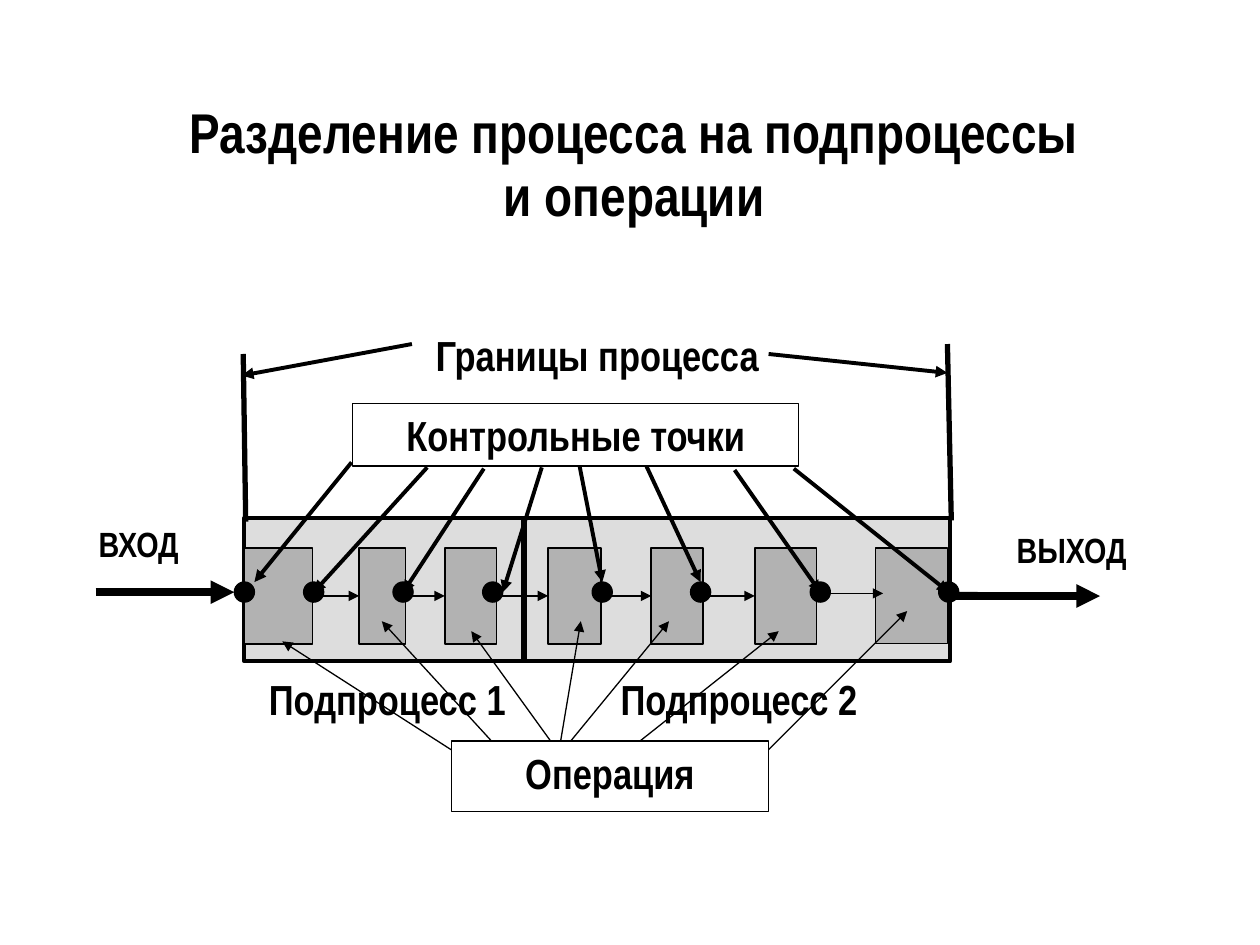
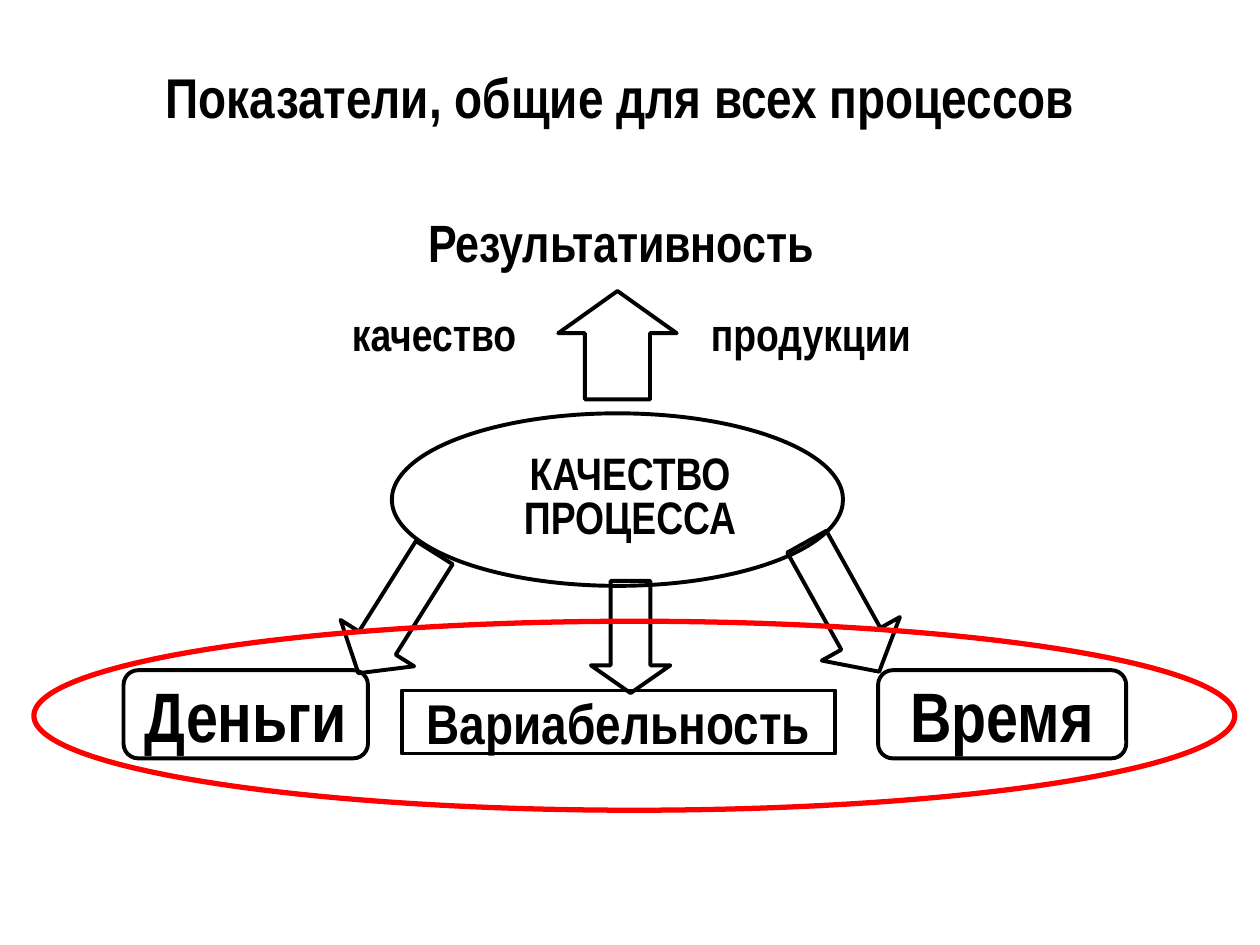
from dataclasses import dataclass
from itertools import pairwise

from lxml.etree import SubElement
from pptx import Presentation
from pptx.dml.color import RGBColor
from pptx.enum.shapes import MSO_CONNECTOR, MSO_SHAPE as Kind
from pptx.enum.text import MSO_ANCHOR as Anchor, MSO_AUTO_SIZE, PP_ALIGN
from pptx.oxml.ns import qn
from pptx.util import Pt


@dataclass(frozen=True)
class Theme:
    font: str = "Arial Narrow"
    ink: RGBColor = RGBColor(0, 0, 0)
    paper: RGBColor = RGBColor(255, 255, 255)
    process: RGBColor = RGBColor(0xDD, 0xDD, 0xDD)
    operation: RGBColor = RGBColor(0xB2, 0xB2, 0xB2)
    accent: RGBColor = RGBColor(255, 0, 0)
    title: int = 32
    label: int = 24
    flow: int = 20
    quality: int = 26
    result: int = 30
    outcome: int = 40
    thin: float = 0.75
    medium: float = 2.25
    thick: float = 3
    heavy: float = 4.5


theme = Theme()
LINE = MSO_CONNECTOR.STRAIGHT


def write(shape, text, size, anchor=Anchor.TOP, wrap=True, spacing=None):
    frame = shape.text_frame
    frame.text = text
    frame_format = {
        "auto_size": MSO_AUTO_SIZE.NONE, "word_wrap": wrap, "vertical_anchor": anchor,
        "margin_left": Pt(7.2), "margin_right": Pt(7.2),
        "margin_top": Pt(3.6), "margin_bottom": Pt(3.6),
    }
    for name, value in frame_format.items():
        setattr(frame, name, value)
    for paragraph in frame.paragraphs:
        paragraph.alignment = PP_ALIGN.CENTER
        paragraph.line_spacing = spacing
        font_format = {"name": theme.font, "size": Pt(size), "bold": True}
        for name, value in font_format.items():
            setattr(paragraph.font, name, value)
        paragraph.font.color.rgb = theme.ink


def draw(slide, kind, place, line=None, fill=None, color=theme.ink, head=True):
    if kind is LINE:
        shape = slide.shapes.add_connector(kind, *map(Pt, place))
    else:
        shape = slide.shapes.add_shape(kind, *map(Pt, place))
        shape.shadow.inherit = False
        if fill is None:
            shape.fill.background()
        else:
            shape.fill.solid()
            shape.fill.fore_color.rgb = fill
    if line is None:
        shape.line.fill.background()
    else:
        shape.line.color.rgb = color
        shape.line.width = Pt(line)
    if kind is LINE:
        properties = shape.element.find(qn("p:spPr"))
        if head:
            SubElement(properties.find(qn("a:ln")), qn("a:tailEnd"), type="triangle")
        SubElement(properties, qn("a:effectLst"))
    return shape


presentation = Presentation()
presentation.slide_width, presentation.slide_height = Pt(720), Pt(540)

titles = [
    ("Разделение процесса на подпроцессы\vи операции", (25.2, 49, 674.6, 90.7), Pt(36)),
    ("Показатели, общие для всех процессов", (14.4, 20.2, 680.4, 69.1), None),
]
slides = []
for text, place, spacing in titles:
    slide = presentation.slides.add_slide(presentation.slide_layouts[5])
    title = slide.shapes.title
    for name, value in zip(("left", "top", "width", "height"), place):
        setattr(title, name, Pt(value))
    write(title, text, theme.title, Anchor.MIDDLE, spacing=spacing)
    slides.append(slide)
process_slide, indicator_slide = slides

draw(process_slide, Kind.RECTANGLE, (139.7, 295.9, 403.2, 82.1), theme.medium, theme.process)
draw(process_slide, LINE, (54.7, 338.4, 133.9, 338.4), theme.heavy)

operations = []
for left, width in [(139.7, 38.9), (205.2, 26.6), (254.2, 29.5), (313.2, 30.2),
                    (372.2, 29.5), (431.3, 35.3), (500.4, 41)]:
    operations.append(draw(process_slide, Kind.RECTANGLE, (left, 313.2, width, 54.7),
                           1, theme.operation))
operations[-1].line.width = Pt(theme.thin)

for source, target in pairwise(operations[:-1]):
    link = draw(process_slide, LINE, (0, 0, 0, 0), theme.thin)
    link.begin_connect(source, 3)
    link.end_connect(target, 1)
draw(process_slide, LINE, (467.3, 339.1, 504.7, 339.1), theme.thin)
output_arrow = draw(process_slide, LINE, (540, 340.6, 628.6, 340.6), theme.heavy)
output_arrow.begin_connect(operations[-1], 3)
draw(process_slide, LINE, (299.5, 295.9, 299.5, 378.7), theme.thick, head=False)

labels = [
    ("ВХОД", (36.7, 290.2, 85, 34.6), theme.flow, None, 1.2),
    ("ВЫХОД", (558.7, 295.9, 107.3, 34.6), theme.flow, None, 1.1),
    ("Подпроцесс 1", (145.4, 381.6, 151.9, 40.3), theme.label, None, None),
    ("Подпроцесс 2", (303.1, 381.6, 238.3, 40.3), theme.label, None, None),
    ("Границы процесса", (241.2, 185, 200.2, 36), theme.label, None, None),
    ("Контрольные точки", (201.6, 230.4, 254.9, 36), theme.label, theme.thin, None),
    ("Операция", (257.8, 423.4, 181.4, 40.3), theme.label, theme.thin, None),
]
for text, place, size, line, spacing in labels:
    label = draw(process_slide, Kind.RECTANGLE, place, line, theme.paper)
    write(label, text, size, wrap=text != "Границы процесса", spacing=spacing)

control_arrows = [
    (200.9, 264.2, 145.4, 332.6), (244.1, 267.1, 179.3, 338.4),
    (276.5, 267.8, 230.4, 338.4), (309.6, 267.1, 287.3, 338.4),
    (331.2, 266.4, 344.2, 332.6), (369.4, 266.4, 400.3, 332.6),
    (419.8, 268.6, 468.7, 338.4), (453.6, 267.8, 542.2, 338.4),
]
boundary_arrows = [(235.4, 196.6, 138.2, 214.6), (439.2, 202.3, 541.4, 213.1)]
for ends in control_arrows + boundary_arrows:
    draw(process_slide, LINE, ends, theme.medium)

for left in (133.9, 173.5, 224.6, 275.8, 338.4, 394.6, 463, 536.4):
    draw(process_slide, Kind.OVAL, (left, 332.6, 11.5, 11.5), theme.thin, theme.ink)

for boundary in [(139, 202.3, 140.4, 298.1), (541.4, 196.6, 543.6, 297.4)]:
    draw(process_slide, LINE, boundary, theme.thick, head=False)

operation_arrows = [
    (257.8, 428.4, 161.3, 366.5), (280.8, 423.4, 218.2, 355),
    (314.6, 423.4, 269.3, 360.7), (320.4, 423.4, 331.9, 355),
    (326.2, 423.4, 382.3, 355), (365.8, 423.4, 445, 360.7),
    (439.2, 428.4, 518.4, 349.2),
]
for ends in operation_arrows:
    draw(process_slide, LINE, ends, theme.thin)

block_arrows = [
    (Kind.UP_ARROW, (319, 166.3, 67.7, 61.9), 0, (0.55, 0.39)),
    (Kind.LEFT_ARROW, (185.8, 325.4, 81.4, 49.7), 302.2, (0.5, 0.41)),
    (Kind.RIGHT_ARROW, (439.2, 321.1, 85, 51.1), 60.9, (0.5, 0.42)),
    (Kind.LEFT_ARROW, (328.3, 341.3, 64.1, 45.4), 270, (0.5, 0.35)),
]
for kind, place, rotation, adjustments in block_arrows:
    arrow = draw(indicator_slide, kind, place, theme.medium)
    arrow.rotation = rotation
    for index, value in enumerate(adjustments):
        arrow.adjustments[index] = value

quality = draw(indicator_slide, Kind.OVAL, (223.9, 236.2, 257.8, 98.6), theme.medium)
write(quality, "КАЧЕСТВО ПРОЦЕССА", theme.quality, Anchor.MIDDLE, spacing=0.8)
quality.text_frame.margin_left = Pt(21.6)

captions = [
    ("Результативность", (204.5, 116.6, 301, 46.8), theme.result),
    ("продукции", (398.2, 171.4, 130.3, 29.5), theme.quality),
    ("качество", (183.6, 171.4, 128.9, 29.5), theme.quality),
]
for text, place, size in captions:
    caption = indicator_slide.shapes.add_textbox(*map(Pt, place))
    write(caption, text, size)

outcomes = [
    ("Вариабельность", Kind.RECTANGLE, (229.7, 394.6, 247.7, 36), theme.title),
    ("Деньги", Kind.ROUNDED_RECTANGLE, (70.6, 383, 139.7, 50.4), theme.outcome),
    ("Время", Kind.ROUNDED_RECTANGLE, (501.8, 383, 141.8, 50.4), theme.outcome),
]
for text, kind, place, size in outcomes:
    outcome = draw(indicator_slide, kind, place, theme.medium)
    write(outcome, text, size, Anchor.MIDDLE, wrap=False)

draw(indicator_slide, Kind.OVAL, (19.4, 355, 686.2, 108), theme.thick, color=theme.accent)

presentation.save("out.pptx")
